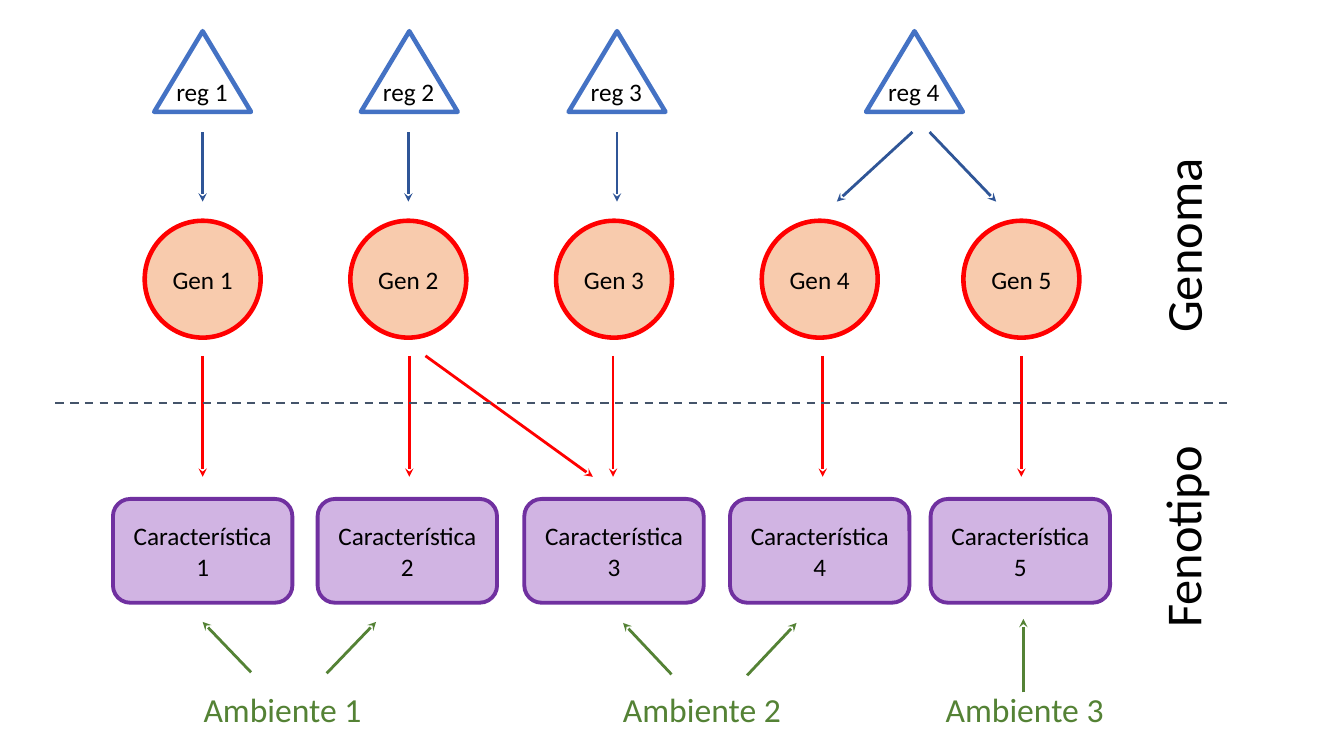
from typing import NamedTuple

from lxml import etree
from pptx import Presentation
from pptx.dml.color import RGBColor
from pptx.enum.dml import MSO_LINE
from pptx.enum.shapes import MSO_CONNECTOR, MSO_SHAPE
from pptx.enum.text import MSO_ANCHOR, MSO_AUTO_SIZE, PP_ALIGN
from pptx.oxml.ns import qn
from pptx.util import Inches, Pt

TRIANGLE = MSO_SHAPE.ISOSCELES_TRIANGLE
OVAL = MSO_SHAPE.OVAL
ROUNDED = MSO_SHAPE.ROUNDED_RECTANGLE
STRAIGHT = MSO_CONNECTOR.STRAIGHT
DASH = MSO_LINE.DASH
MIDDLE = MSO_ANCHOR.MIDDLE
CENTER, LEFT = PP_ALIGN.CENTER, PP_ALIGN.LEFT
GROW = MSO_AUTO_SIZE.SHAPE_TO_FIT_TEXT

FONT = "Calibri"
COLORS = {
    "text": "000000",
    "regulator": "4472C4",
    "regulation": "2F5597",
    "gene": "F8CBAD",
    "expression": "FF0000",
    "trait": "D1B4E3",
    "trait_edge": "7030A0",
    "environment": "548235",
    "divider": "44546A",
}


class Node(NamedTuple):
    geometry: MSO_SHAPE
    top: float
    width: float
    height: float
    fill: str | None
    edge: str
    edge_width: float


class Label(NamedTuple):
    text: str
    left: float
    top: float
    width: float
    height: float
    size: int = 18
    color: str = "text"
    rotation: int = 0


class Arrow(NamedTuple):
    x1: float
    y1: float
    x2: float
    y2: float
    color: str


REGULATOR = Node(TRIANGLE, 0.31, 0.96, 0.8, None, "regulator", 3.25)
GENE = Node(OVAL, 2.19, 1.15, 1.16, "gene", "expression", 3.25)
TRAIT = Node(ROUNDED, 4.95, 1.78, 1.03, "trait", "trait_edge", 2.75)

REGULATOR_CENTERS = (2.01, 4.06, 6.12, 9.07)
GENE_CENTERS = (2.01, 4.05, 6.09, 8.13, 10.13)
TRAIT_CENTERS = (2.01, 4.04, 6.09, 8.13, 10.12)

# Start and end x of each arrow between two rows
REGULATIONS = ((2.01, 2.01), (4.05, 4.05), (6.12, 6.12), (9.05, 8.3), (9.22, 9.88))
EXPRESSIONS = ((2.01, 2.01), (4.06, 4.06), (6.08, 6.08), (8.16, 8.16),
               (10.13, 10.13), (4.22, 5.88))
ARROWS = (
    [Arrow(x1, 1.31, x2, 2, "regulation") for x1, x2 in REGULATIONS]
    + [Arrow(x1, 3.53, x2, 4.73, "expression") for x1, x2 in EXPRESSIONS]
    + [Arrow(*ends, "environment") for ends in (
        (2.49, 6.67, 2.01, 6.17), (3.24, 6.68, 3.73, 6.17),
        (6.66, 6.69, 6.18, 6.18), (7.41, 6.7, 7.9, 6.18),
        (10.15, 6.87, 10.15, 6.14))]
)

ENVIRONMENT_LEFTS = (1.92, 6.08, 9.28)
LEVELS = (
    Label("Genoma", 10.75, 2.07, 1.95, 0.71, 36, rotation=270),
    Label("Fenotipo", 10.71, 4.96, 2.02, 0.71, 36, rotation=270),
)


def rgb(name: str) -> RGBColor:
    return RGBColor.from_string(COLORS[name])


def write(frame, text: str, size: int, color: str, alignment: PP_ALIGN) -> None:
    frame.text = text
    for paragraph in frame.paragraphs:
        paragraph.alignment = alignment
        paragraph.font.name = FONT
        paragraph.font.size = Pt(size)
        paragraph.font.color.rgb = rgb(color)


def draw_node(node: Node, center: float, text: str = "") -> None:
    shape = slide.shapes.add_shape(
        node.geometry, Inches(center - node.width / 2), Inches(node.top),
        Inches(node.width), Inches(node.height))
    shape.shadow.inherit = False
    if node.fill:
        shape.fill.solid()
        shape.fill.fore_color.rgb = rgb(node.fill)
    else:
        shape.fill.background()
    shape.line.color.rgb = rgb(node.edge)
    shape.line.width = Pt(node.edge_width)
    if text:
        shape.text_frame.vertical_anchor = MIDDLE
        write(shape.text_frame, text, 18, "text", CENTER)


def draw_label(label: Label) -> None:
    box = slide.shapes.add_textbox(Inches(label.left), Inches(label.top),
                                   Inches(label.width), Inches(label.height))
    box.rotation = label.rotation
    box.text_frame.word_wrap = False
    box.text_frame.auto_size = GROW
    write(box.text_frame, label.text, label.size, label.color, LEFT)


def draw_line(x1: float, y1: float, x2: float, y2: float, color: str, width: float):
    connector = slide.shapes.add_connector(
        STRAIGHT, Inches(x1), Inches(y1), Inches(x2), Inches(y2))
    connector.line.color.rgb = rgb(color)
    connector.line.width = Pt(width)
    etree.SubElement(connector._element.spPr, qn("a:effectLst"))
    return connector


def draw_arrow(arrow: Arrow) -> None:
    connector = draw_line(*arrow, width=2)
    etree.SubElement(connector.line._get_or_add_ln(), qn("a:tailEnd"), type="stealth")


presentation = Presentation()
presentation.slide_width = Inches(13.33)
presentation.slide_height = Inches(7.5)
slide = presentation.slides.add_slide(presentation.slide_layouts[6])

# Genome: regulators and genes
for number, center in enumerate(REGULATOR_CENTERS, 1):
    draw_node(REGULATOR, center)
    draw_label(Label(f"reg {number}", center - 0.36, 0.71, 0.72, 0.4))
for number, center in enumerate(GENE_CENTERS, 1):
    draw_node(GENE, center, f"Gen {number}")

# Phenotype: traits and environments
for number, center in enumerate(TRAIT_CENTERS, 1):
    draw_node(TRAIT, center, f"Característica\n{number}")
for number, left in enumerate(ENVIRONMENT_LEFTS, 1):
    draw_label(Label(f"Ambiente {number}", left, 6.79, 1.78, 0.5, 24, "environment"))

# Influences between the rows
for arrow in ARROWS:
    draw_arrow(arrow)

# Boundary and names of the two levels
divider = draw_line(0.55, 4, 12.2, 4, "divider", 1.5)
divider.line.dash_style = DASH
for level in LEVELS:
    draw_label(level)

presentation.save("out.pptx")
